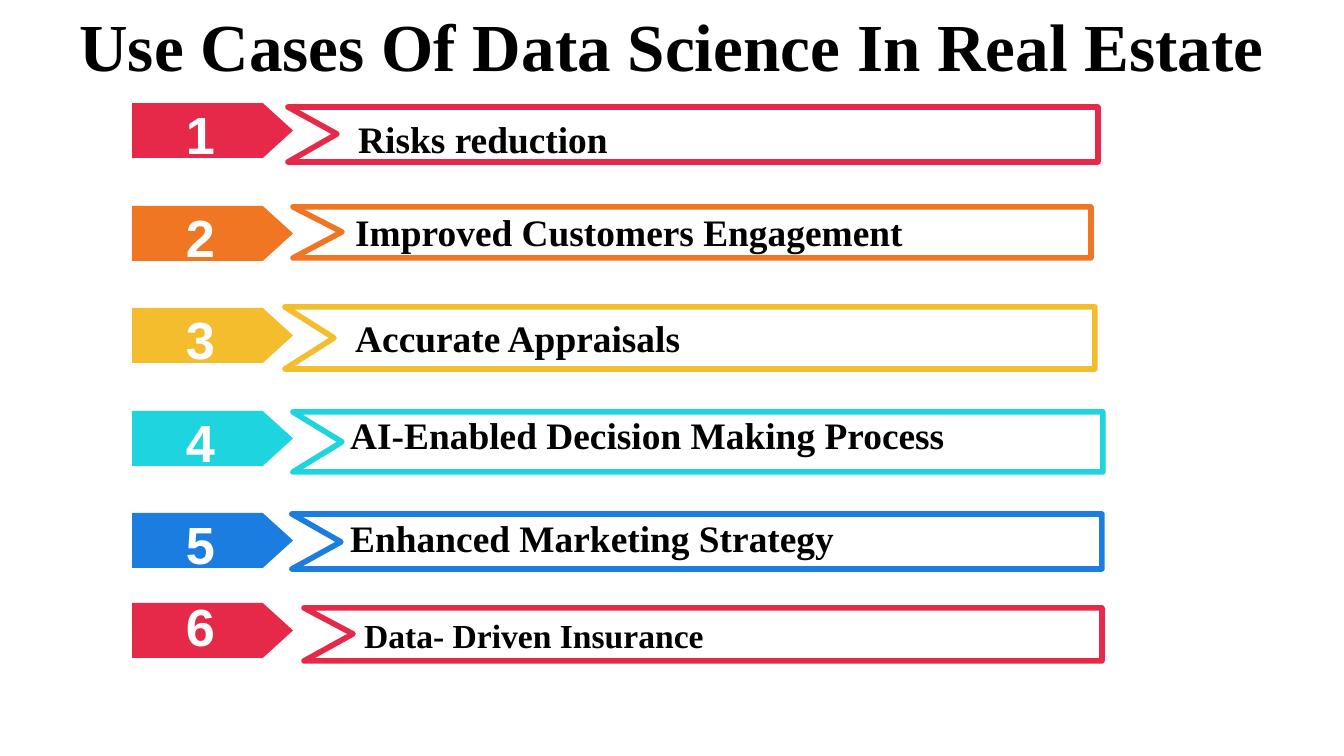
"""Build a slide listing six use cases of data science in real estate."""
import pptx
import pptx.util
import pptx.dml.color
import pptx.enum.shapes
import pptx.enum.text
import pptx.oxml.ns
import lxml.etree

COLORS = {"red": "E62949", "orange": "F07624", "yellow": "F4BD2D", "cyan": "1ED4DE",
          "blue": "1C7DE1", "white": "FFFFFF", "black": "000000"}
TITLE = "Use Cases Of Data Science In Real Estate"
# tag top, number top, banner (left, top, right, bottom), label (left, top)
USE_CASES = [
    ("Risks reduction", 20, "red", 103, 102, (288, 107, 1098, 162), (345, 109)),
    ("Improved Customers Engagement", 20, "orange", 206, 205, (293, 207, 1091, 258), (342, 202)),
    ("Accurate Appraisals", 20, "yellow", 308, 307, (285, 307, 1095, 369), (342, 308)),
    ("AI-Enabled Decision Making Process", 20, "cyan", 411, 410, (293, 412, 1103, 472), (337, 405)),
    ("Enhanced Marketing Strategy", 20, "blue", 513, 512, (292, 514, 1102, 569), (337, 508)),
    ("Data- Driven Insurance", 18, "red", 603, 594, (304, 608, 1102, 661), (351, 608)),
]
TAG_LEFT, TAG_WIDTH, TAG_HEIGHT = 132, 161, 55
NUMBER_LEFT, NUMBER_WIDTH, NUMBER_HEIGHT = 157, 87, 63
LABEL_WIDTH, LABEL_HEIGHT = 698, 59
NOTCH_DEPTH = 49
SCALE = 914400 / 134.4


def emu(pixels):
    return pptx.util.Emu(round(pixels * SCALE))


def color(name):
    return pptx.dml.color.RGBColor.from_string(COLORS[name])


def add_text(page, text, left, top, width, height, size, font="Times New Roman",
             ink="black", align="LEFT", anchor="TOP", inset=7):
    box = page.shapes.add_textbox(emu(left), emu(top), emu(width), emu(height))
    frame = box.text_frame
    frame.word_wrap = True
    frame.vertical_anchor = getattr(pptx.enum.text.MSO_ANCHOR, anchor)
    frame.margin_top = frame.margin_bottom = emu(inset)
    para = frame.paragraphs[0]
    para.alignment = getattr(pptx.enum.text.PP_ALIGN, align)
    span = para.add_run()
    span.text = text
    span.font.name = font
    span.font.size = pptx.util.Pt(size)
    span.font.bold = True
    span.font.color.rgb = color(ink)


def add_tag(page, top, fill):
    tag = page.shapes.add_shape(pptx.enum.shapes.MSO_SHAPE.PENTAGON, emu(TAG_LEFT), emu(top),
                                emu(TAG_WIDTH), emu(TAG_HEIGHT))
    tag.adjustments[0] = 0.55
    tag.shadow.inherit = False
    tag.fill.solid()
    tag.fill.fore_color.rgb = color(fill)
    tag.line.fill.background()


def add_banner(page, left, top, right, bottom, outline):
    builder = page.shapes.build_freeform(left, top, scale=SCALE)
    builder.add_line_segments([(right, top), (right, bottom), (left, bottom),
                               (left + NOTCH_DEPTH, (top + bottom) / 2)], close=True)
    banner = builder.convert_to_shape()
    banner.shadow.inherit = False
    banner.fill.solid()
    banner.fill.fore_color.rgb = color("white")
    banner.line.color.rgb = color(outline)
    banner.line.width = pptx.util.Pt(3)
    line = banner.line._get_or_add_ln()
    lxml.etree.SubElement(line, pptx.oxml.ns.qn("a:round"))


deck = pptx.Presentation()
deck.slide_width, deck.slide_height = emu(1344), emu(756)
page = deck.slides.add_slide(deck.slide_layouts[6])

add_text(page, TITLE, 0, 6, 1344, 77, 36, align="CENTER", anchor="MIDDLE", inset=0)
for number, (label, size, hue, tag_top, number_top, banner, label_spot) in enumerate(USE_CASES, 1):
    add_tag(page, tag_top, hue)
    add_banner(page, *banner, hue)
    add_text(page, str(number), NUMBER_LEFT, number_top, NUMBER_WIDTH, NUMBER_HEIGHT, 28,
             font="Arial", ink="white", align="CENTER", anchor="MIDDLE", inset=0)
    add_text(page, label, *label_spot, LABEL_WIDTH, LABEL_HEIGHT, size)

deck.save("out.pptx")
